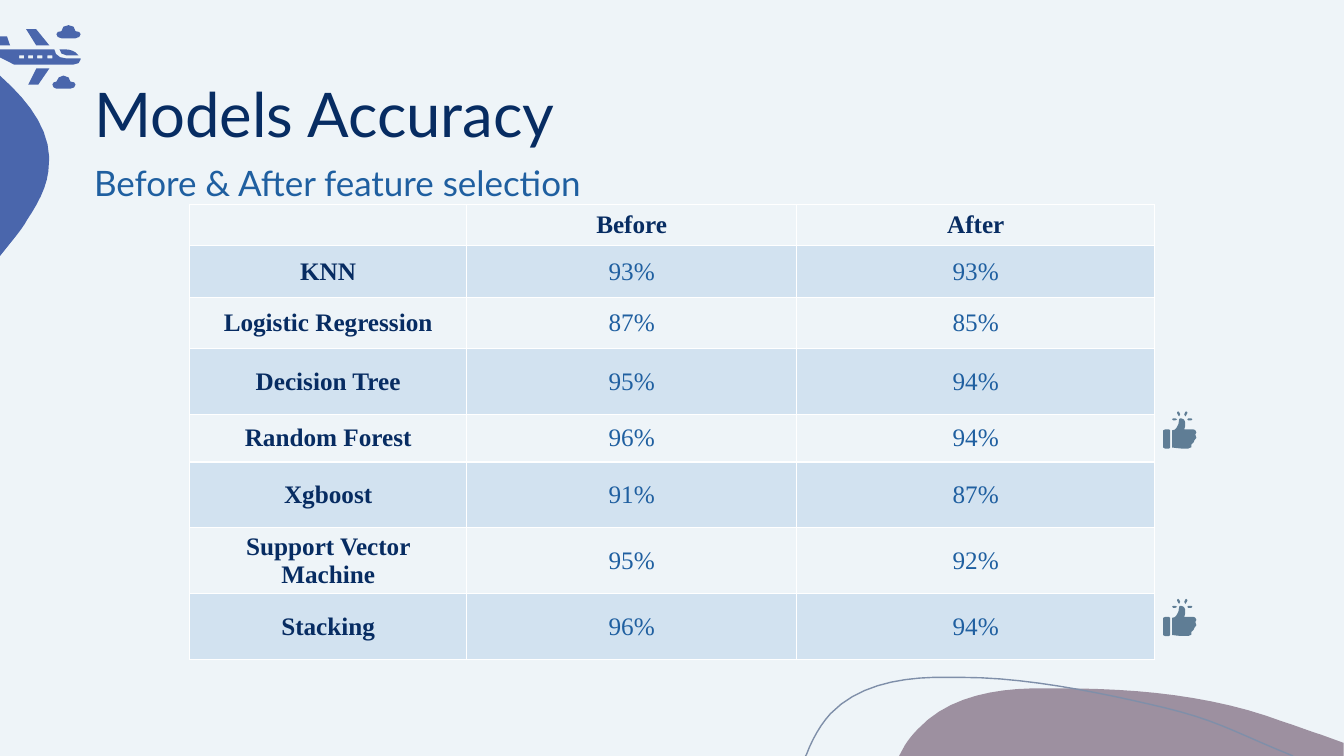
from dataclasses import dataclass
from math import dist, sqrt

from lxml import etree
from pptx import Presentation
from pptx.dml.color import RGBColor
from pptx.enum.text import MSO_ANCHOR, MSO_AUTO_SIZE, PP_ALIGN
from pptx.oxml.ns import qn
from pptx.util import Cm, Pt

MIDDLE = MSO_ANCHOR.MIDDLE
NO_FIT = MSO_AUTO_SIZE.NONE
LEFT, CENTER = PP_ALIGN.LEFT, PP_ALIGN.CENTER
TITLE_ONLY = 5
UNIT = Cm(0.0254)  # outlines are written in hundredths of an inch


@dataclass(frozen=True)
class Theme:
    background: str = "EEF4F8"
    navy: str = "072C62"
    blue: str = "1F5FA0"
    band: str = "629DD1"
    band_alpha: int = 20
    border: str = "FFFFFF"
    mauve: str = "9D90A0"
    indigo: str = "4A66AC"
    outline: str = "7F8FA9"
    slate: str = "5F7D95"
    heading_font: str = "Lato"
    table_font: str = "Times New Roman"
    title_size: int = 44
    subtitle_size: int = 25
    table_size: int = 18


MAUVE_WAVE = """M 1054 683 C 1128 683 1204 690 1273 716 C 1286 720 1298 725 1311 729
    L 1333 737 L 1333 750 L 892 750 L 898 739 C 902 733 906 728 911 723
    C 939 693 982 684 1023 683 C 1033 683 1043 683 1054 683 Z"""
INDIGO_BULGE = """M 0 75 L 1 76 C 30 102 54 133 48 170 C 46 187 37 203 27 218
    C 24 224 17 233 8 244 L 0 254 Z"""
THIN_WAVE = """M 799 750 L 800 749 C 806 733 814 719 824 708 C 850 681 889 673 926 672
    L 955 672 C 1022 672 1100 689 1155 702 C 1209 715 1226 727 1283 750"""

THUMB_UP = [
    "M 1179 415 L 1178 416 L 1179 417 L 1182 417 L 1183 416 L 1182 415 Z",
    "M 1169 408 L 1168 409 L 1168 410 L 1169 412 L 1170 413 L 1171 411 L 1170 409 Z",
    "M 1177 408 L 1176 409 L 1175 411 L 1176 413 L 1177 412 L 1178 410 L 1178 409 Z",
    "M 1164 415 L 1163 416 L 1164 417 L 1166 417 L 1168 416 L 1166 415 Z",
    "M 1156 426 L 1154 427 L 1154 444 L 1156 445 L 1160 445 L 1161 444 L 1161 427 L 1160 426 Z",
    "M 1171 415 L 1170 416 C 1170 419 1169 423 1167 425 "
    "C 1166 426 1165 427 1163 427 L 1163 444 C 1165 444 1168 445 1172 445 "
    "L 1179 445 C 1182 445 1183 443 1182 441 C 1184 440 1185 438 1185 437 "
    "C 1187 436 1188 433 1186 431 C 1187 431 1187 430 1187 429 "
    "C 1187 427 1185 426 1184 426 L 1175 426 C 1176 425 1176 421 1176 419 "
    "C 1176 417 1174 415 1172 415 Z",
]
WINDOWS = " ".join(f"M {x} 55 L {x} 58 L {x - 5} 58 L {x - 5} 55 Z" for x in (24, 33, 42, 52))
PLANE = [
    "M 68 25 C 64 25 61 27 61 31 C 58 31 56 32 56 34 C 56 36 58 38 61 38 L 75 38 "
    "C 78 38 80 36 80 34 C 80 32 78 31 75 31 C 75 27 72 25 68 25 Z",
    "M 63 75 C 60 75 56 78 56 81 C 54 81 52 82 52 84 C 52 86 54 88 56 88 L 70 88 "
    "C 73 88 75 86 75 84 C 75 82 73 81 70 81 C 70 78 67 75 63 75 Z",
    WINDOWS + " M 0 49 L 0 57 L 14 64 L 73 64 C 77 64 80 62 80 59 "
    "L 80 58 L 66 58 C 59 58 54 54 54 49 Z",
    "M 59 49 C 59 52 62 55 66 55 L 78 55 L 75 52 C 72 50 68 49 65 49 Z",
    "M 0 36 L 0 45 L 10 45 L 7 36 Z",
    "M 26 29 L 36 45 L 49 45 L 36 29 Z",
    "M 36 68 L 28 84 L 38 84 L 49 68 Z",
]

ACCURACY = [
    ("", "Before", "After"),
    ("KNN", "93%", "93%"),
    ("Logistic Regression", "87%", "85%"),
    ("Decision Tree", "95%", "94%"),
    ("Random Forest", "96%", "94%"),
    ("Xgboost", "91%", "87%"),
    ("Support Vector Machine", "95%", "92%"),
    ("Stacking", "96%", "94%"),
]
COLUMN_WIDTHS = (6.98, 8.32, 9.02)
ROW_HEIGHTS = (1, 1.3, 1.3, 1.66, 1.19, 1.66, 1.66, 1.66)


def rgb(value):
    return RGBColor.from_string(value)


def write(tf, text, *, font, size, color, bold=False, align=LEFT, spacing=None):
    p = tf.paragraphs[0]
    p.alignment = align
    p.line_spacing = spacing
    r = p.add_run()
    r.text = text
    r.font.name, r.font.size, r.font.bold = font, Pt(size), bold
    r.font.color.rgb = rgb(color)


def contours(outline):
    """Turn M/L/C/Z commands into (points, closed) pairs; longer curves get more points."""
    result = []
    for part in outline.split("M")[1:]:
        closed = "Z" in part
        points = []
        for step in part.replace("Z", "").replace("L", "|").replace("C", "|").split("|"):
            n = [float(v) for v in step.split()]
            if len(n) == 2:
                points.append(tuple(n))
                continue
            control = [points[-1], *zip(n[::2], n[1::2])]
            steps = max(1, round(0.8 * sqrt(dist(control[0], control[3]))))
            for i in range(1, steps + 1):
                t = i / steps
                weights = ((1 - t) ** 3, 3 * t * (1 - t) ** 2, 3 * t * t * (1 - t), t ** 3)
                points.append(tuple(sum(w * c[axis] for w, c in zip(weights, control))
                                    for axis in (0, 1)))
        result.append((points, closed))
    return result


class SlideBuilder:
    def __init__(self, slide, theme):
        self.s, self.theme = slide, theme
        slide.background.fill.solid()
        slide.background.fill.fore_color.rgb = rgb(theme.background)

    def outline(self, commands, fill=None, line=None, dy=0):
        fb = None
        for points, closed in contours(commands):
            points = [(x * UNIT, (y + dy) * UNIT) for x, y in points]
            if fb is None:
                fb = self.s.shapes.build_freeform(*points[0], scale=1.0)
            else:
                fb.move_to(*points[0])
            fb.add_line_segments(points[1:], close=closed)
        sp = fb.convert_to_shape()
        sp.shadow.inherit = False
        for part, color in ((sp.fill, fill), (sp.line.fill, line)):
            if color:
                part.solid()
                part.fore_color.rgb = rgb(color)
            else:
                part.background()
        if line:
            sp.line.width = Pt(1)
        return sp

    def icon(self, outlines, color, dy=0):
        self.s.shapes.add_group_shape([self.outline(o, color, dy=dy) for o in outlines])

    def heading(self, sp, text, box, size, color):
        sp.left, sp.top, sp.width, sp.height = (Cm(v) for v in box)
        tf = sp.text_frame
        tf.word_wrap, tf.auto_size, tf.vertical_anchor = True, NO_FIT, MIDDLE
        write(tf, text, font=self.theme.heading_font, size=size, color=color, spacing=0.9)
        return tf

    def title(self, text, box):
        tf = self.heading(self.s.shapes.title, text, box, self.theme.title_size, self.theme.navy)
        tf.margin_bottom = Cm(1.8)

    def subtitle(self, text, box):
        sp = self.s.shapes.add_textbox(0, 0, 0, 0)
        self.heading(sp, text, box, self.theme.subtitle_size, self.theme.blue)

    def cell(self, cell, text, head, banded):
        th = self.theme
        cell.vertical_anchor = MIDDLE
        tc_pr = cell._tc.get_or_add_tcPr()
        for side in ("lnL", "lnR", "lnT", "lnB"):
            ln = etree.SubElement(tc_pr, qn(f"a:{side}"), w=str(Pt(1)))
            solid = etree.SubElement(ln, qn("a:solidFill"))
            etree.SubElement(solid, qn("a:srgbClr"), val=th.border)
        if banded:
            cell.fill.solid()
            cell.fill.fore_color.rgb = rgb(th.band)
            color = tc_pr.find(qn("a:solidFill"))[0]
            etree.SubElement(color, qn("a:alpha"), val=str(th.band_alpha * 1000))
        else:
            cell.fill.background()
        if text:
            write(cell.text_frame, text, font=th.table_font, size=th.table_size,
                  color=th.navy if head else th.blue, bold=head, align=CENTER)

    def table(self, rows, left, top, widths, heights):
        table = self.s.shapes.add_table(len(rows), len(widths), Cm(left), Cm(top),
                                        Cm(sum(widths)), Cm(sum(heights))).table
        table.first_row = table.horz_banding = False
        for column, width in zip(table.columns, widths):
            column.width = Cm(width)
        for i, (row, height) in enumerate(zip(rows, heights)):
            table.rows[i].height = Cm(height)
            for j, text in enumerate(row):
                self.cell(table.cell(i, j), text, head=i == 0 or j == 0, banded=i % 2 == 1)


def main():
    prs = Presentation()
    prs.slide_width, prs.slide_height = Cm(33.87), Cm(19.05)
    theme = Theme()
    b = SlideBuilder(prs.slides.add_slide(prs.slide_layouts[TITLE_ONLY]), theme)
    b.outline(MAUVE_WAVE, fill=theme.mauve)
    b.outline(INDIGO_BULGE, fill=theme.indigo)
    b.outline(THIN_WAVE, line=theme.outline)
    b.title("Models Accuracy", (2.12, 1.68, 29.63, 4.23))
    b.subtitle("Before & After feature selection", (2.12, 3.08, 18.34, 3.15))
    b.table(ACCURACY, 4.78, 5.16, COLUMN_WIDTHS, ROW_HEIGHTS)
    for dy in (0, 186):
        b.icon(THUMB_UP, theme.slate, dy)
    b.icon(PLANE, theme.indigo)
    prs.save("out.pptx")


if __name__ == "__main__":
    main()
